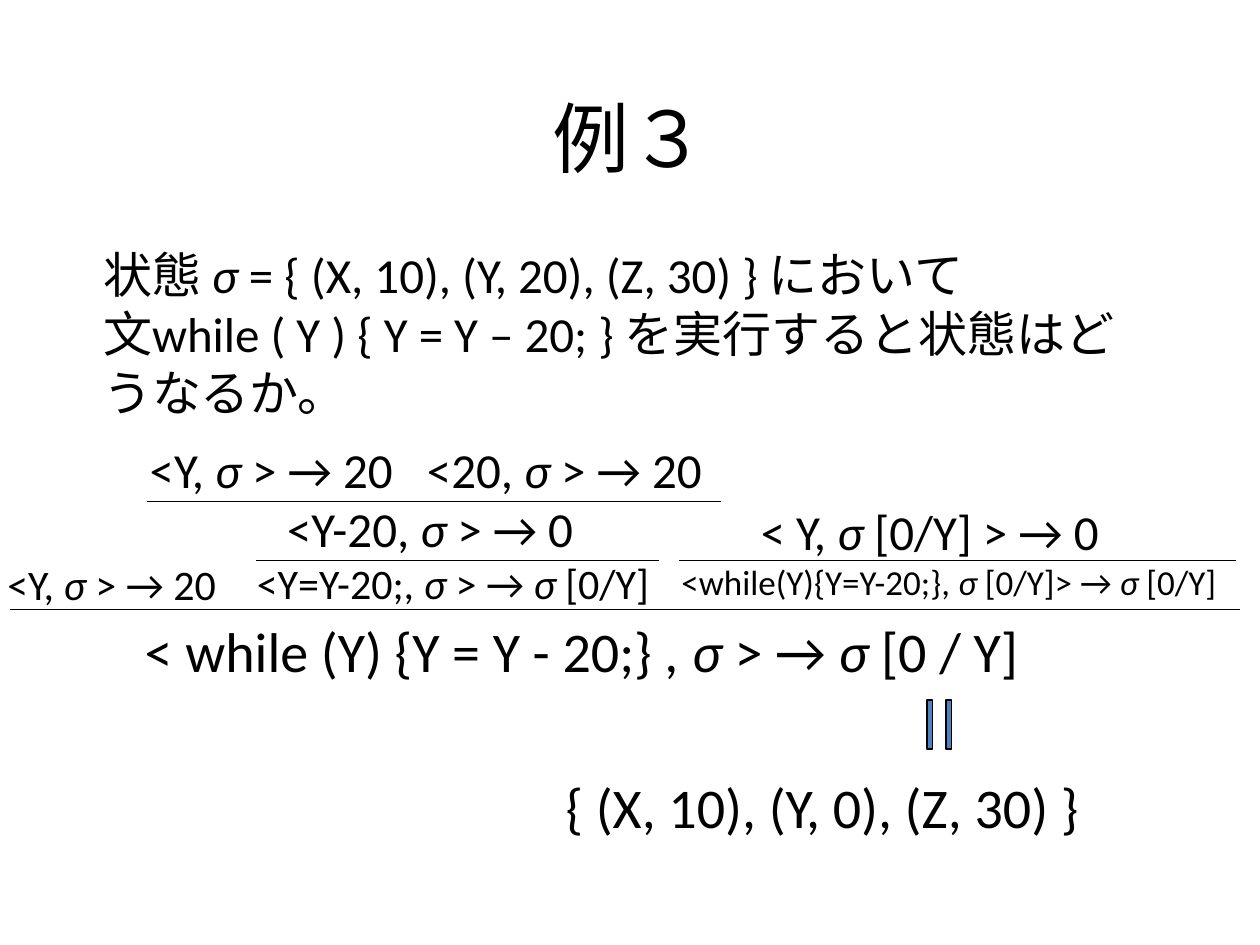
from dataclasses import dataclass
from itertools import groupby

from lxml import etree
from pptx import Presentation
from pptx.dml.color import RGBColor
from pptx.enum.shapes import MSO_CONNECTOR, MSO_SHAPE
from pptx.enum.text import MSO_ANCHOR, MSO_AUTO_SIZE, PP_ALIGN
from pptx.oxml.ns import qn
from pptx.util import Inches, Pt

STRAIGHT = MSO_CONNECTOR.STRAIGHT
EQUALS = MSO_SHAPE.MATH_EQUAL
MIDDLE, TOP = MSO_ANCHOR.MIDDLE, MSO_ANCHOR.TOP
GROW = MSO_AUTO_SIZE.SHAPE_TO_FIT_TEXT
LEFT, CENTER = PP_ALIGN.LEFT, PP_ALIGN.CENTER

COLORS = {"ink": "000000", "equals": "4F81BD"}
FONT = "Calibri"
STATE = "σ"  # always set in italics
RULE_WIDTH = Pt(0.75)


@dataclass
class Line:
    text: str
    size: float
    indent: float = 0
    tab: float = 0


@dataclass
class Block:
    left: float
    top: float
    width: float
    height: float
    lines: list[Line]


@dataclass
class Rule:
    start: float
    end: float
    y: float


TITLE = Block(0.75, 0.46, 8.5, 1.25, [Line("例３", 44)])

BLOCKS = [
    # Question
    Block(0.72, 1.89, 8.38, 1.51, [
        Line("状態 σ = { (X, 10), (Y, 20), (Z, 30) } において", 28),
        Line("文while ( Y ) { Y = Y – 20; } を実行すると状態はどうなるか。", 28),
    ]),
    # Premises of the derivation
    Block(1.09, 3.44, 4.76, 0.57,
          [Line("<Y, σ > → 20\t<20, σ > → 20", 28, tab=2.2)]),
    Block(1.56, 3.91, 3.91, 0.98, [
        Line("<Y-20, σ > → 0", 28, indent=0.62),
        Line("<Y=Y-20;, σ > → σ [0/Y]", 24, indent=0.38),
    ]),
    Block(-0.04, 4.38, 2.22, 0.5, [Line("<Y, σ > → 20", 24)]),
    Block(5.31, 3.93, 4.76, 0.91, [
        Line("< Y, σ [0/Y] > → 0", 28, indent=0.63),
        Line("<while(Y){Y=Y-20;}, σ [0/Y]> → σ [0/Y]", 20),
    ]),
    # Conclusion and final state
    Block(1.05, 4.84, 7.55, 0.64,
          [Line("< while (Y) {Y = Y - 20;} , σ > → σ [0 / Y]", 32)]),
    Block(4.39, 6.08, 5.06, 0.64, [Line("{ (X, 10), (Y, 0), (Z, 30) }", 32)]),
]

RULES = [
    Rule(1.17, 5.72, 3.98),
    Rule(2.03, 5.23, 4.45),
    Rule(5.39, 9.81, 4.45),
    Rule(0.08, 9.84, 4.84),
]


def color(name: str) -> RGBColor:
    return RGBColor.from_string(COLORS[name])


def write_line(paragraph, line: Line) -> None:
    properties = paragraph._p.get_or_add_pPr()
    if line.indent:
        properties.set("marL", str(Inches(line.indent)))
        properties.set("indent", "0")
    if line.tab:
        tabs = etree.SubElement(properties, qn("a:tabLst"))
        etree.SubElement(tabs, qn("a:tab"), pos=str(Inches(line.tab)), algn="l")
    for is_state, letters in groupby(line.text, lambda letter: letter == STATE):
        run = paragraph.add_run()
        run.text = "".join(letters)
        run.font.name = FONT
        run.font.size = Pt(line.size)
        run.font.italic = is_state
        run.font.color.rgb = color("ink")


def draw_block(slide, block: Block, align=LEFT, anchor=TOP, auto_size=GROW) -> None:
    box = slide.shapes.add_textbox(Inches(block.left), Inches(block.top),
                                   Inches(block.width), Inches(block.height))
    frame = box.text_frame
    frame.word_wrap = True
    frame.auto_size = auto_size
    frame.vertical_anchor = anchor
    for index, line in enumerate(block.lines):
        paragraph = frame.add_paragraph() if index else frame.paragraphs[0]
        paragraph.alignment = align
        write_line(paragraph, line)


def draw_rule(slide, rule: Rule) -> None:
    connector = slide.shapes.add_connector(
        STRAIGHT, Inches(rule.start), Inches(rule.y), Inches(rule.end), Inches(rule.y))
    connector.line.color.rgb = color("ink")
    connector.line.width = RULE_WIDTH
    etree.SubElement(connector._element.spPr, qn("a:effectLst"))


def draw_equals(slide) -> None:
    equals = slide.shapes.add_shape(EQUALS, Inches(7.19), Inches(5.55),
                                    Inches(0.53), Inches(0.4))
    equals.rotation = 270
    equals.adjustments[0] = 0.11  # bar thickness
    equals.adjustments[1] = 0.27  # gap between the bars
    equals.shadow.inherit = False
    equals.fill.solid()
    equals.fill.fore_color.rgb = color("equals")
    equals.line.color.rgb = color("ink")
    equals.line.width = RULE_WIDTH


def main() -> None:
    deck = Presentation()
    deck.slide_width, deck.slide_height = Inches(10), Inches(7.5)
    slide = deck.slides.add_slide(deck.slide_layouts[6])

    draw_block(slide, TITLE, CENTER, MIDDLE, MSO_AUTO_SIZE.NONE)
    for block in BLOCKS:
        draw_block(slide, block)
    for rule in RULES:
        draw_rule(slide, rule)
    draw_equals(slide)

    deck.save("out.pptx")


if __name__ == "__main__":
    main()
